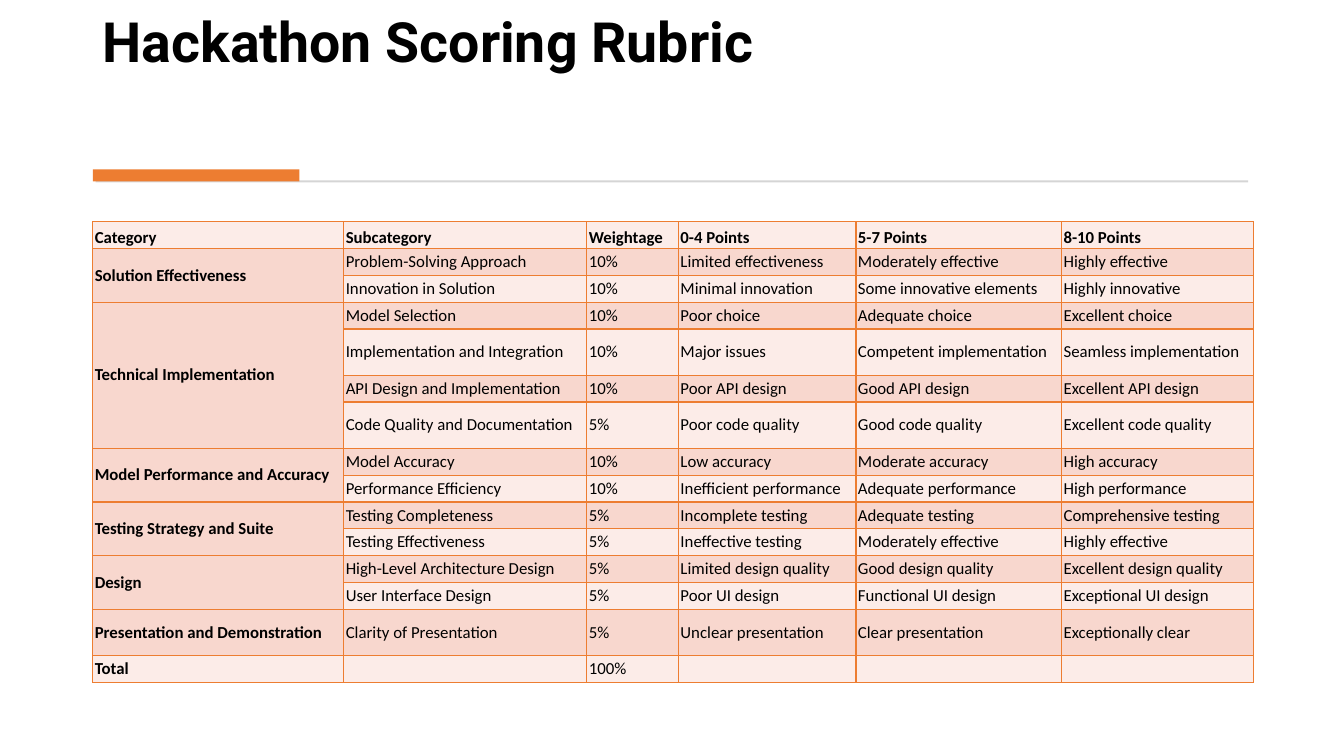
from pptx import Presentation
from pptx.dml.color import RGBColor
from pptx.enum.shapes import MSO_SHAPE
from pptx.enum.text import MSO_ANCHOR
from pptx.oxml import parse_xml
from pptx.oxml.ns import nsdecls, qn
from pptx.util import Inches, Pt
from lxml.etree import SubElement

BLACK = RGBColor(0x00, 0x00, 0x00)
ORANGE = RGBColor(0xED, 0x7D, 0x31)
GREY = RGBColor(0xD5, 0xD5, 0xD5)
LIGHT = RGBColor(0xFC, 0xEC, 0xE8)
DARK = RGBColor(0xF8, 0xD7, 0xCE)


def write(text, frame, size=12, font="Calibri", bold=False):
    para = frame.paragraphs[0]
    if not text:
        SubElement(para._p, qn("a:endParaRPr"), sz=str(size * 100))
        return
    run = para.add_run()
    run.text = text
    run.font.size = Pt(size)
    run.font.name = font
    run.font.bold = bold
    run.font.color.rgb = BLACK


deck = Presentation()
deck.slide_width = Inches(13.33)
deck.slide_height = Inches(7.5)
slide = deck.slides.add_slide(deck.slide_layouts[6])

title = slide.shapes.add_textbox(Inches(0.92), Inches(0.02), Inches(11.49), Inches(0.75))
title.text_frame.word_wrap = True
write("Hackathon Scoring Rubric", title.text_frame, size=39.6, font="Roboto", bold=True)

bars = [(0.95, 1.79, 11.43, 0.02, GREY), (0.92, 1.68, 2.05, 0.12, ORANGE)]
for left, top, width, height, color in bars:
    bar = slide.shapes.add_shape(
        MSO_SHAPE.RECTANGLE, Inches(left), Inches(top), Inches(width), Inches(height))
    bar.shadow.inherit = False
    bar.fill.solid()
    bar.fill.fore_color.rgb = color
    bar.line.fill.background()

groups = [
    ("Category", [
        ("Subcategory", "Weightage", "0-4 Points", "5-7 Points", "8-10 Points")]),
    ("Solution Effectiveness", [
        ("Problem-Solving Approach", "10%", "Limited effectiveness",
         "Moderately effective", "Highly effective"),
        ("Innovation in Solution", "10%", "Minimal innovation",
         "Some innovative elements", "Highly innovative")]),
    ("Technical Implementation", [
        ("Model Selection", "10%", "Poor choice", "Adequate choice", "Excellent choice"),
        ("Implementation and Integration", "10%", "Major issues",
         "Competent implementation", "Seamless implementation"),
        ("API Design and Implementation", "10%", "Poor API design",
         "Good API design", "Excellent API design"),
        ("Code Quality and Documentation", "5%", "Poor code quality",
         "Good code quality", "Excellent code quality")]),
    ("Model Performance and Accuracy", [
        ("Model Accuracy", "10%", "Low accuracy", "Moderate accuracy", "High accuracy"),
        ("Performance Efficiency", "10%", "Inefficient performance",
         "Adequate performance", "High performance")]),
    ("Testing Strategy and Suite", [
        ("Testing Completeness", "5%", "Incomplete testing",
         "Adequate testing", "Comprehensive testing"),
        ("Testing Effectiveness", "5%", "Ineffective testing",
         "Moderately effective", "Highly effective")]),
    ("Design", [
        ("High-Level Architecture Design", "5%", "Limited design quality",
         "Good design quality", "Excellent design quality"),
        ("User Interface Design", "5%", "Poor UI design",
         "Functional UI design", "Exceptional UI design")]),
    ("Presentation and Demonstration", [
        ("Clarity of Presentation", "5%", "Unclear presentation",
         "Clear presentation", "Exceptionally clear")]),
    ("Total", [("", "100%", "", "", "")]),
]
rows = []
spans = []
for name, items in groups:
    spans.append((len(rows), len(items)))
    for i, item in enumerate(items):
        rows.append(("" if i else name,) + item)

widths = [2.49, 2.41, 0.91, 1.76, 2.04, 1.9]
full = 4.57
tall = 0.46
talls = (4, 6, 13)
short = (full - tall * len(talls)) / (len(rows) - len(talls))

table = slide.shapes.add_table(
    len(rows), len(widths), Inches(0.92), Inches(2.2), Inches(sum(widths)), Inches(full)).table
for col, width in zip(table.columns, widths):
    col.width = Inches(width)

for r, row in enumerate(rows):
    table.rows[r].height = Inches(tall if r in talls else short)
    for c, text in enumerate(row):
        cell = table.cell(r, c)
        cell.margin_left = cell.margin_right = Inches(0.02)
        cell.margin_top = cell.margin_bottom = Inches(0.01)
        cell.vertical_anchor = MSO_ANCHOR.MIDDLE if r else MSO_ANCHOR.BOTTOM
        for side in "LRTB":
            cell._tc.get_or_add_tcPr().append(parse_xml(
                f'<a:ln{side} {nsdecls("a")} w="{Pt(1)}"><a:solidFill>'
                f'<a:srgbClr val="{ORANGE}"/></a:solidFill></a:ln{side}>'))
        cell.fill.solid()
        cell.fill.fore_color.rgb = DARK if r % 2 else LIGHT
        write(text, cell.text_frame, bold=r == 0 or c == 0)

for start, count in spans:
    if count > 1:
        table.cell(start, 0).merge(table.cell(start + count - 1, 0))

deck.save("out.pptx")
